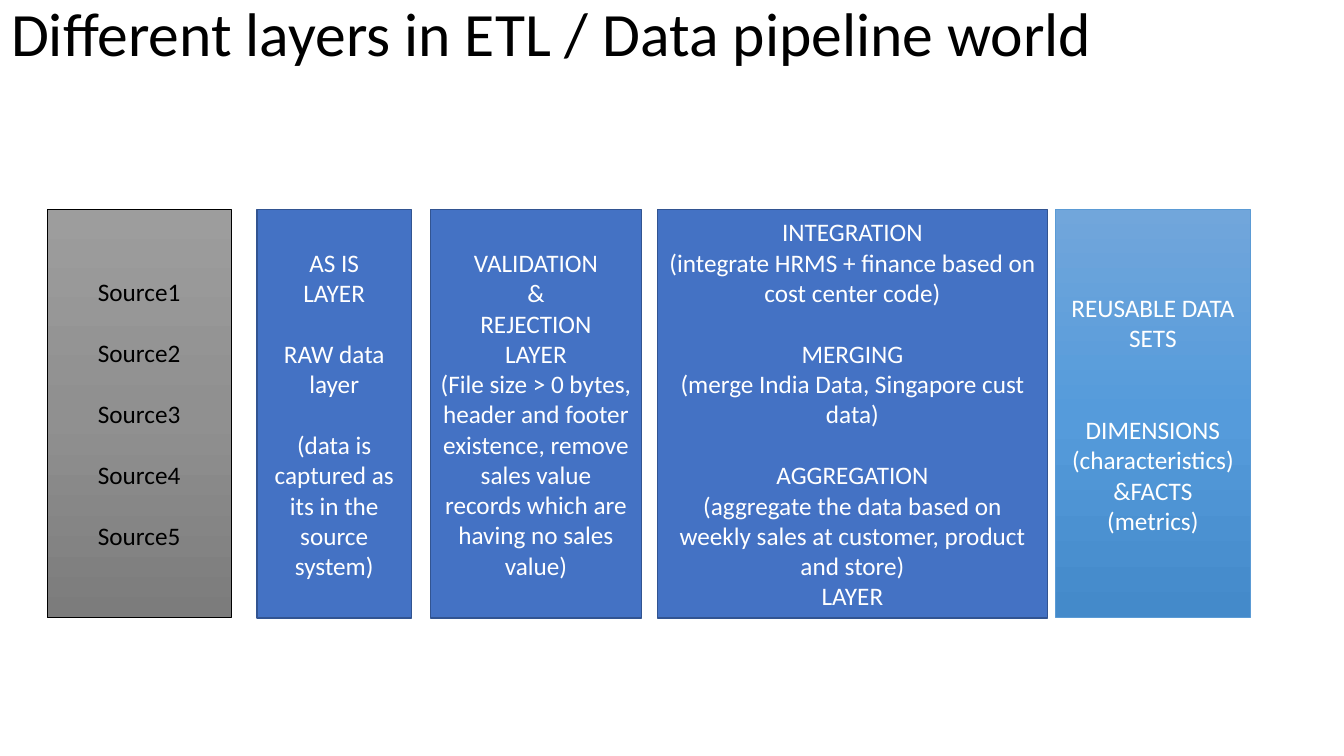
from copy import deepcopy
from pptx import Presentation
from pptx import util as u
from pptx.dml.color import RGBColor
from pptx.enum import shapes, text

# Content: left, width, style, gap between groups in lines, groups of lines
TITLE = "Different layers in ETL / Data pipeline world"
LAYERS = [
    (0.47, 1.82, "source", 1, [[f"Source{n}"] for n in range(1, 6)]),
    (2.55, 1.53, "layer", 1, [
        ["AS IS", "LAYER"],
        ["RAW data layer"],
        ["(data is captured as its in the source system)"]]),
    (4.27, 2.09, "layer", 1, [
        ["VALIDATION", "&", "REJECTION", "LAYER",
         "(File size > 0 bytes, header and footer existence, remove "
         "sales value records which are having no sales value)"]]),
    (6.52, 3.87, "layer", 1, [
        ["INTEGRATION",
         "(integrate HRMS + finance based on cost center code)"],
        ["MERGING", "(merge India Data, Singapore cust data)"],
        ["AGGREGATION",
         "(aggregate the data based on weekly sales at customer, "
         "product and store)",
         "LAYER"]]),
    (10.47, 1.93, "reuse", 2, [
        ["REUSABLE DATA SETS"],
        ["DIMENSIONS", "(characteristics)", "&FACTS", "(metrics)"]]),
]
TOP, HEIGHT = 2.08, 4.05

# Theme: one fill colour is solid, three make a gradient
THEME = {
    "font": "Calibri", "title": 44, "body": 18, "row": 22, "ink": "000000",
    "source": {"fill": ["9D9D9D", "909090", "7C7C7C"],
               "line": "000000", "width": 0.5, "ink": "000000"},
    "layer": {"fill": ["4472C4"],
              "line": "325491", "width": 1, "ink": "FFFFFF"},
    "reuse": {"fill": ["71A6DB", "559BDB", "448ACA"],
              "line": "5B9BD5", "width": 0.5, "ink": "FFFFFF"},
}


def rgb(code):
    return RGBColor.from_string(code)


def put(item, values):
    for name, value in values.items():
        setattr(item, name, value)


def style(para, size, ink, **values):
    put(para, values)
    put(para.font, {"name": THEME["font"], "size": u.Pt(size)})
    para.font.color.rgb = rgb(ink)


def paint(fill, codes):
    if len(codes) == 1:
        fill.solid()
        fill.fore_color.rgb = rgb(codes[0])
        return
    fill.gradient()
    fill.gradient_angle = 270
    first = fill._fill._gradFill.gsLst[0]
    first.addnext(deepcopy(first))
    for i, (stop, code) in enumerate(zip(fill.gradient_stops, codes)):
        stop.position = i / (len(codes) - 1)
        stop.color.rgb = rgb(code)


def add_box(slide, left, width, kind, gap, groups):
    look = THEME[kind]
    box = slide.shapes.add_shape(
        shapes.MSO_SHAPE.RECTANGLE,
        *map(u.Inches, (left, TOP, width, HEIGHT)))
    box.shadow.inherit = False
    paint(box.fill, look["fill"])
    box.line.color.rgb = rgb(look["line"])
    box.line.width = u.Pt(look["width"])
    frame = box.text_frame
    put(frame, {"word_wrap": True, "vertical_anchor": text.MSO_ANCHOR.MIDDLE})

    # Each group after the first starts below a gap
    rows = [(line, g > 0 and i == 0)
            for g, group in enumerate(groups) for i, line in enumerate(group)]
    for n, (line, apart) in enumerate(rows):
        para = frame.add_paragraph() if n else frame.paragraphs[0]
        para.text = line
        style(para, THEME["body"], look["ink"],
              alignment=text.PP_ALIGN.CENTER,
              space_before=u.Pt(gap * THEME["row"] if apart else 0))


def main():
    deck = Presentation()
    put(deck, {"slide_width": u.Inches(13.33), "slide_height": u.Inches(7.5)})
    slide = deck.slides.add_slide(deck.slide_layouts[5])

    # Title
    title = slide.shapes.title
    put(title, {"left": u.Inches(0.01), "top": u.Inches(-0.02),
                "width": u.Inches(12.36), "height": u.Inches(0.89)})
    frame = title.text_frame
    frame.text = TITLE
    put(frame, {"word_wrap": True, "auto_size": text.MSO_AUTO_SIZE.NONE,
                "vertical_anchor": text.MSO_ANCHOR.TOP})
    style(frame.paragraphs[0], THEME["title"], THEME["ink"],
          alignment=text.PP_ALIGN.LEFT, line_spacing=0.9)

    # Pipeline boxes
    for layer in LAYERS:
        add_box(slide, *layer)

    deck.save("out.pptx")


if __name__ == "__main__":
    main()
